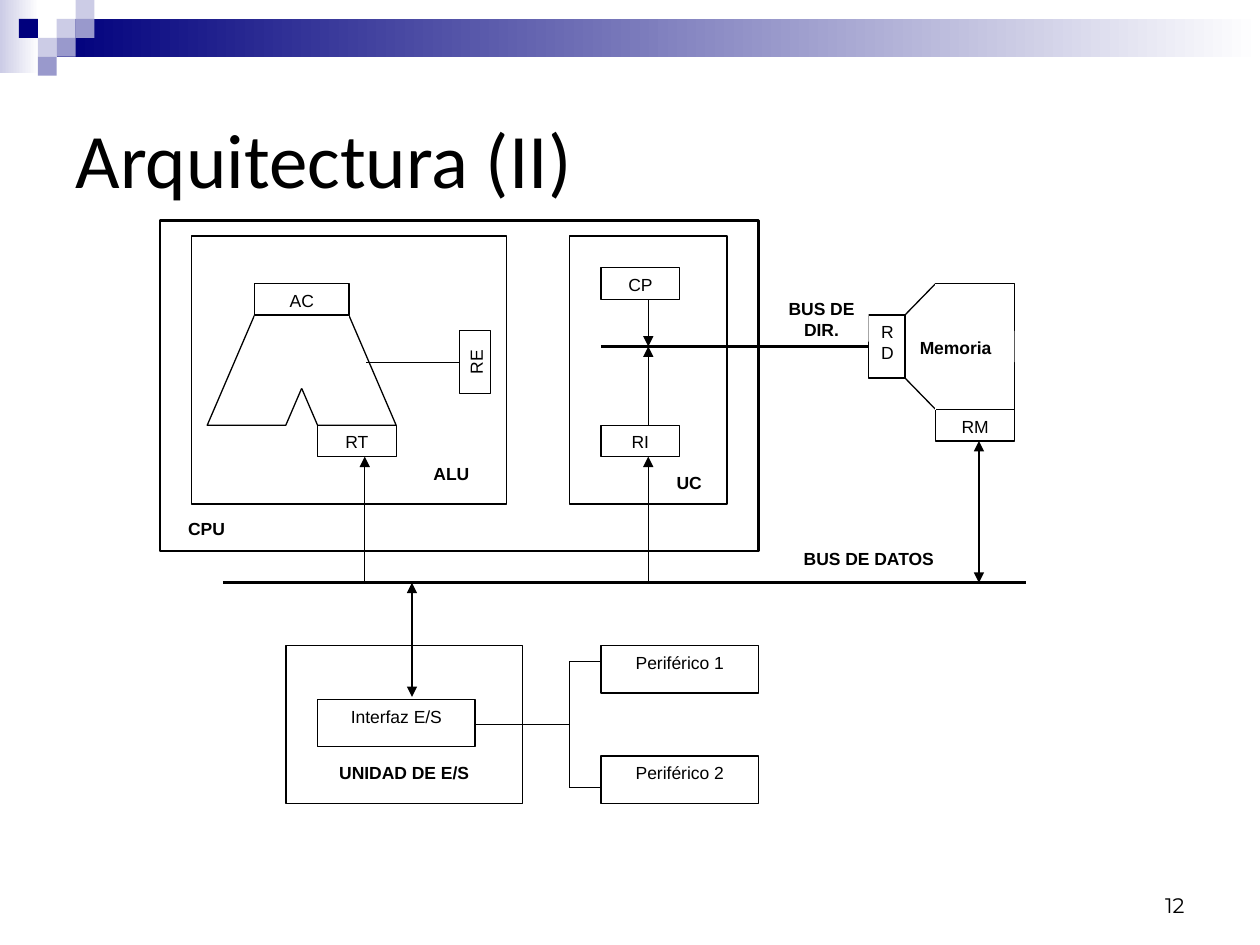
from lxml.etree import SubElement
from pptx import Presentation
from pptx.dml.color import RGBColor
from pptx.enum.shapes import MSO_CONNECTOR, MSO_SHAPE as SHAPE
from pptx.enum.text import MSO_ANCHOR as ANCHOR, PP_ALIGN as ALIGN
from pptx.oxml.ns import qn
from pptx.util import Inches, Pt

BLACK = RGBColor(0x00, 0x00, 0x00)
WHITE = RGBColor(0xFF, 0xFF, 0xFF)
NAVY = RGBColor(0x00, 0x00, 0x7D)
LILAC = RGBColor(0xCC, 0xCC, 0xE6)
VIOLET = RGBColor(0x99, 0x99, 0xCC)

TITLE = "Arquitectura (II)"
PAGE = "12"
TILE = 0.15
UNIT = 0.125
LEFT, TOP = 1.27, 1.75
THIN, MEDIUM, THICK = 0.75, 1, 1.5

BANDS = [((0, 0, 0.31, 0.58), LILAC), ((0.45, 0.15, 9.55, 0.3), NAVY)]
TILES = [(3, 1, LILAC), (4, 0, LILAC), (4, 1, VIOLET), (2, 2, LILAC),
         (1, 1, NAVY), (3, 2, VIOLET), (2, 3, VIOLET)]

FRAMES = [
    ((0, 0, 38, 21), THICK),
    ((26, 1, 10, 17), MEDIUM),
    ((2, 1, 20, 17), MEDIUM),
    ((8, 27, 15, 10), THIN),
    ((49.25, 4, 5, 8), THIN),
]
ALU_LEGS = [((3, 6, 8, 7), False), ((7, 6, 8, 7), True)]
ALU_INSIDE = (6, 6, 6, 4.65)
UNITS = [
    ("CP", (28, 3, 5, 2), 0),
    ("RI", (28, 13, 5, 2), 0),
    ("RD", (45, 6, 2.3, 4), 0),
    ("RM", (49.25, 12, 5, 2), 0),
    ("AC", (6, 4, 6, 2), 0),
    ("RT", (10, 13, 5, 2), 0),
    ("RE", (18, 8, 4, 2), 270),
    ("Interfaz E/S", (10, 30.4, 10, 3), 0),
    ("Periférico 1", (28, 27, 10, 3), 0),
    ("Periférico 2", (28, 34, 10, 3), 0),
]
LABELS = [
    ("Memoria", (47.45, 7, 6.8, 2), ALIGN.LEFT),
    ("ALU", (16, 15, 5, 2), ALIGN.CENTER),
    ("UC", (31.6, 15.6, 4, 1.9), ALIGN.CENTER),
    ("UNIDAD DE E/S", (9, 34, 13, 2), ALIGN.CENTER),
    ("BUS DE DATOS", (40, 20.4, 10, 2), ALIGN.CENTER),
    ("BUS DE DIR.", (39, 4.5, 6, 3.2), ALIGN.CENTER),
    ("CPU", (1, 18.5, 6, 2), ALIGN.LEFT),
]
BUSES = [(28, 8, 45, 8), (4, 23, 55, 23)]
WIRES = [(49.25, 4, 47.3, 6), (49.25, 12, 47.3, 10), (19, 9, 13.1, 9),
         (28, 28, 26, 28), (28, 36, 26, 36), (26, 28, 26, 36), (20, 32, 26, 32)]
MEMORY_OPENING = (49.25, 4, 49.25, 12)
ONE_WAY = [(31, 13, 31, 8), (31, 5, 31, 8), (31, 23, 31, 15), (13, 23, 13, 15)]
TWO_WAY = [(52, 14, 52, 23), (16, 23, 16, 30.25)]


def on_grid(cells):
    x, y, *size = cells
    return (LEFT + x * UNIT, TOP + y * UNIT, *(n * UNIT for n in size))


def add_box(slide, area, fill=WHITE, width=None, kind=SHAPE.RECTANGLE):
    box = slide.shapes.add_shape(kind, *map(Inches, area))
    box.shadow.inherit = False
    box.fill.solid()
    box.fill.fore_color.rgb = fill
    if width:
        box.line.color.rgb = BLACK
        box.line.width = Pt(width)
    else:
        box.line.fill.background()
    return box


def write(frame, text, size, font, align, anchor, bold=False):
    frame.word_wrap = True
    frame.vertical_anchor = anchor
    frame.text = text
    paragraph = frame.paragraphs[0]
    paragraph.alignment = align
    paragraph.font.size = Pt(size)
    paragraph.font.name = font
    paragraph.font.bold = bold
    paragraph.font.color.rgb = BLACK


def add_wire(slide, cells, width=THIN, color=BLACK, ends=()):
    start, end = on_grid(cells[:2]), on_grid(cells[2:])
    wire = slide.shapes.add_connector(MSO_CONNECTOR.STRAIGHT, *map(Inches, start + end))
    wire.line.color.rgb = color
    wire.line.width = Pt(width)
    outline = wire.line._get_or_add_ln()
    for end_tag in ends:
        SubElement(outline, qn(end_tag), type="triangle")
    SubElement(wire._element.spPr, qn("a:effectLst"))


def add_header(slide):
    for area, color in BANDS:
        band = add_box(slide, area)
        band.fill.gradient()
        band.fill.gradient_angle = 0
        for stop, shade in zip(band.fill.gradient_stops, (color, WHITE)):
            stop.color.rgb = shade
    for column, row, color in TILES:
        add_box(slide, (column * TILE, row * TILE, TILE, TILE), color)


def add_diagram(slide):
    for cells, width in FRAMES:
        add_box(slide, on_grid(cells), width=width)
    for cells, mirrored in ALU_LEGS:
        leg = add_box(slide, on_grid(cells), width=THIN, kind=SHAPE.PARALLELOGRAM)
        leg.adjustments[0] = 0.43
        if mirrored:
            leg._element.spPr.xfrm.set("flipH", "1")
    add_box(slide, on_grid(ALU_INSIDE))
    for text, cells, angle in UNITS:
        unit = add_box(slide, on_grid(cells), width=THIN)
        unit.rotation = angle
        write(unit.text_frame, text, 10, "Arial", ALIGN.CENTER, ANCHOR.TOP)
    for cells in BUSES:
        add_wire(slide, cells, THICK)
    for cells in WIRES:
        add_wire(slide, cells)
    add_wire(slide, MEMORY_OPENING, color=WHITE)
    for cells in ONE_WAY:
        add_wire(slide, cells, ends=("a:tailEnd",))
    for cells in TWO_WAY:
        add_wire(slide, cells, ends=("a:headEnd", "a:tailEnd"))
    for text, cells, align in LABELS:
        label = add_box(slide, on_grid(cells))
        write(label.text_frame, text, 10, "Arial", align, ANCHOR.TOP, bold=True)


def main():
    deck = Presentation()
    deck.slide_width, deck.slide_height = Inches(10), Inches(7.5)
    slide = deck.slides.add_slide(deck.slide_layouts[5])
    add_header(slide)
    title = slide.shapes.title
    title.left, title.top, title.width, title.height = map(Inches, (0.5, 0.5, 9, 1.5))
    write(title.text_frame, TITLE, 44, "Calibri", ALIGN.LEFT, ANCHOR.MIDDLE)
    number = slide.shapes.add_textbox(*map(Inches, (7.17, 6.83, 2.33, 0.5)))
    write(number.text_frame, PAGE, 12, "Montserrat", ALIGN.RIGHT, ANCHOR.BOTTOM)
    add_diagram(slide)
    deck.save("out.pptx")


if __name__ == "__main__":
    main()
